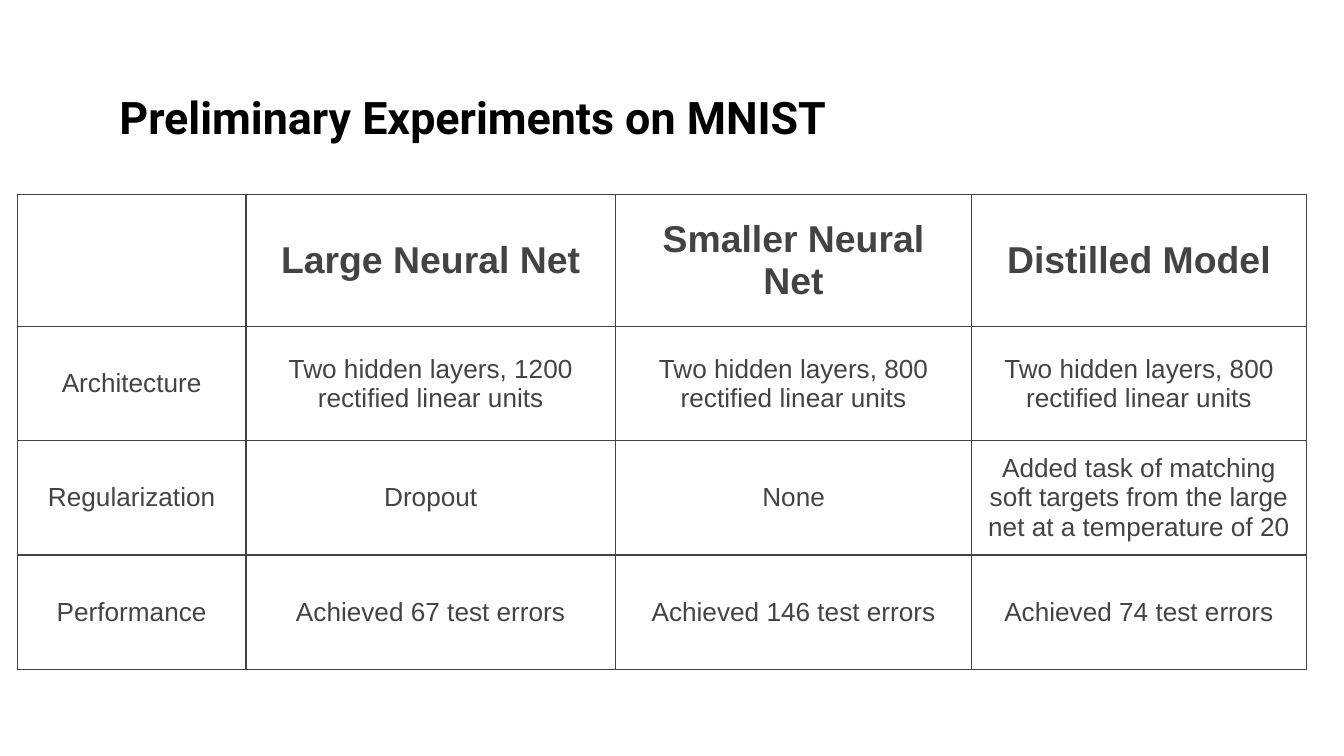
from lxml.etree import SubElement as Sub
from pptx import Presentation
from pptx.dml.color import RGBColor as RGB
from pptx.enum.text import MSO_ANCHOR as Anchor, PP_ALIGN as Align
from pptx.oxml.ns import qn
from pptx.util import Inches, Pt

TITLE = "Preliminary Experiments on MNIST"
ROWS = [
    ("", "Large Neural Net", "Smaller Neural Net", "Distilled Model"),
    ("Architecture", "Two hidden layers, 1200 rectified linear units",
     "Two hidden layers, 800 rectified linear units",
     "Two hidden layers, 800 rectified linear units"),
    ("Regularization", "Dropout", "None",
     "Added task of matching soft targets from the large net at a temperature of 20"),
    ("Performance", "Achieved 67 test errors", "Achieved 146 test errors",
     "Achieved 74 test errors"),
]
WIDE = 10
HIGH = WIDE * 9 / 16
WIDTHS = [1.7, 2.75, 2.65, 2.49]
HEIGHTS = [0.98, 0.85, 0.85, 0.85]
COLORS = {"title": "000000", "grid": "434343", "text": "434343"}


def style(para, name, size, bold, color):
    font = para.font
    font.name, font.size, font.bold = name, Pt(size), bold
    font.color.rgb = RGB.from_string(COLORS[color])


def border(cell):
    props = cell._tc.get_or_add_tcPr()
    for side in ("lnL", "lnR", "lnT", "lnB"):
        line = Sub(props, qn(f"a:{side}"), w=str(Pt(0.75)))
        fill = Sub(line, qn("a:solidFill"))
        Sub(fill, qn("a:srgbClr"), val=COLORS["grid"])


def fill_cell(cell, text, row, col):
    border(cell)
    cell.fill.background()
    cell.vertical_anchor = Anchor.MIDDLE
    side = 0.2 if row and col < 2 else 0.1
    cell.margin_left = cell.margin_right = Inches(side)
    cell.margin_top = cell.margin_bottom = Inches(0.05)
    cell.text = text
    para = cell.text_frame.paragraphs[0]
    para.alignment = Align.CENTER
    style(para, "Arial", 14 if row else 20, row == 0, "text")


def add_title(slide):
    box = slide.shapes.add_textbox(Inches(0.79), Inches(0.57), Inches(8.43), Inches(0.63))
    frame = box.text_frame
    frame.word_wrap = True
    frame.vertical_anchor = Anchor.TOP
    frame.margin_left = frame.margin_right = Inches(0.1)
    frame.margin_top = frame.margin_bottom = Inches(0.1)
    frame.text = TITLE
    style(frame.paragraphs[0], "Roboto", 24, True, "title")


def add_grid(slide):
    grid = slide.shapes.add_table(
        len(ROWS), len(WIDTHS), Inches(0.13), Inches(1.45),
        Inches(sum(WIDTHS)), Inches(sum(HEIGHTS))).table
    grid.first_row = grid.horz_banding = False
    for col, width in zip(grid.columns, WIDTHS):
        col.width = Inches(width)
    for row, height in zip(grid.rows, HEIGHTS):
        row.height = Inches(height)
    for r, texts in enumerate(ROWS):
        for c, text in enumerate(texts):
            fill_cell(grid.cell(r, c), text, r, c)


def main():
    deck = Presentation()
    deck.slide_width, deck.slide_height = Inches(WIDE), Inches(HIGH)
    slide = deck.slides.add_slide(deck.slide_layouts[6])
    add_title(slide)
    add_grid(slide)
    deck.save("out.pptx")


if __name__ == "__main__":
    main()
